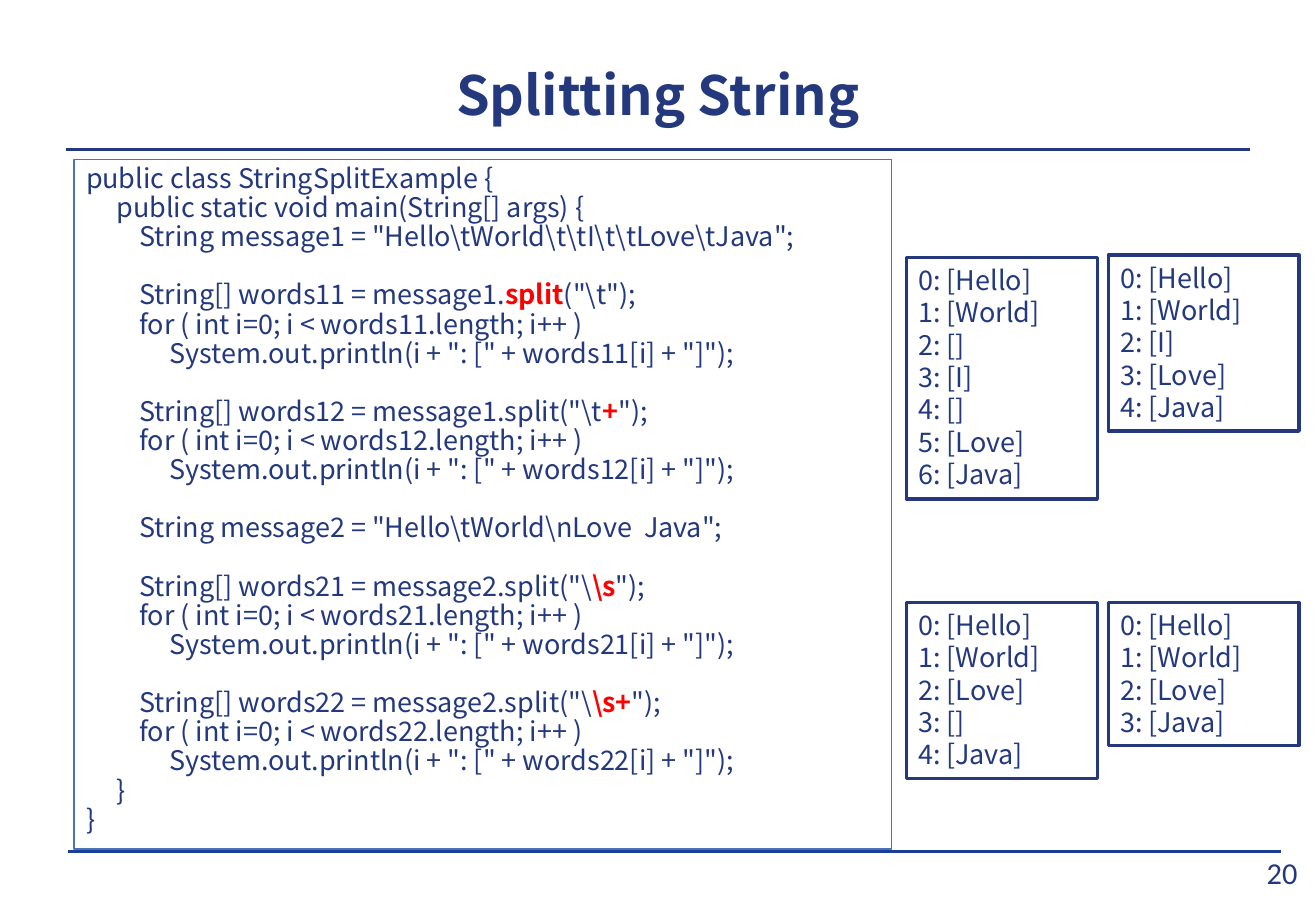
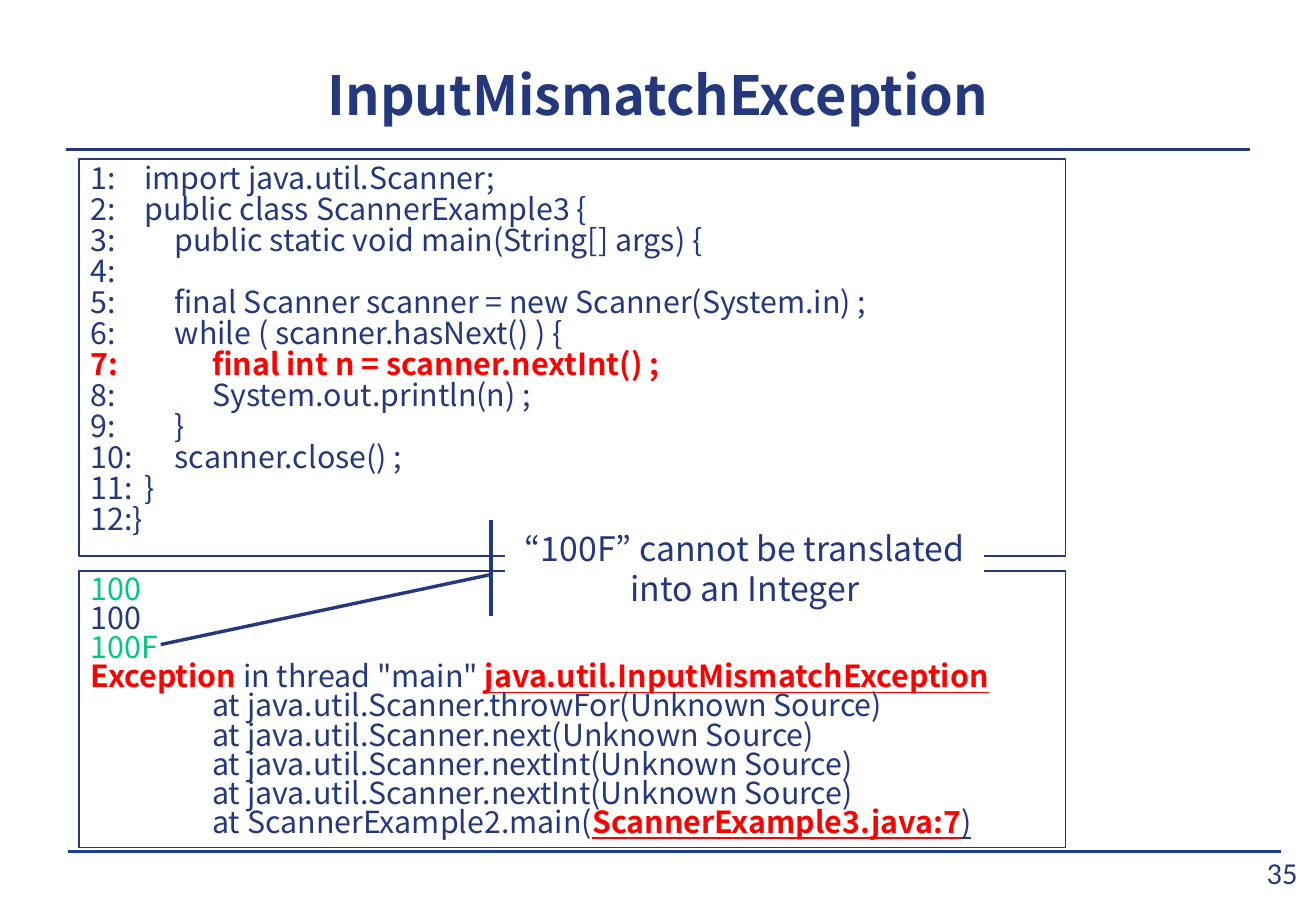
from dataclasses import dataclass

from lxml import etree
from pptx import Presentation, util as u
from pptx.dml.color import RGBColor
from pptx.enum import shapes, text
from pptx.oxml import ns

NAVY, RULE_BLUE, FRAME_BLUE = "23387D", "1A3D97", "4972BB"
RED, GREEN, WHITE = "FF0000", "00C87D", "FFFFFF"
BODY_FONT, NUMBER_FONT = "Noto Sans CJK KR", "Calibri"
WIDTH, HEIGHT = u.Inches(10.83), u.Inches(7.5)
CODE_TABS = (0.25, 0.44, 0.69, 1)
TRACE_TABS = (1,)
BLANK_LINE = 17.25


@dataclass
class Box:
    """An area in percent of the slide."""
    left: float
    top: float
    width: float
    height: float

    def inner(self, left, top, width, height):
        """Return the area at the given percentages of this one."""
        return Box(self.left + self.width * left / 100, self.top + self.height * top / 100,
                   self.width * width / 100, self.height * height / 100)

    def emu(self):
        """Return left, top, width and height in slide units."""
        return [int(share * side / 100) for share, side in
                zip((self.left, self.top, self.width, self.height), (WIDTH, HEIGHT) * 2)]


@dataclass
class Run:
    """A piece of text with its own look."""
    words: str
    colour: str = NAVY
    bold: bool = False
    underline: bool = False


@dataclass
class Line:
    """A paragraph of runs with an optional gap above."""
    runs: list
    gap: float = 0


def colour(hex_code):
    """Turn a hex string into a colour."""
    return RGBColor.from_string(hex_code)


def plain(words):
    """Make a line of one navy run."""
    return Line([Run(words)])


def alert(words, underline=False):
    """Make a bold red run."""
    return Run(words, RED, True, underline)


def set_tabs(paragraph, stops):
    """Give a paragraph left tab stops in inches."""
    tab_list = etree.SubElement(paragraph._p.get_or_add_pPr(), ns.qn("a:tabLst"))
    for stop in stops:
        etree.SubElement(tab_list, ns.qn("a:tab"), pos=str(u.Inches(stop)), algn="l")


def write(shape, lines, size, font=BODY_FONT, align=text.PP_ALIGN.LEFT,
          anchor=text.MSO_ANCHOR.TOP, spacing=None, tabs=()):
    """Fill a shape with lines of styled runs."""
    frame = shape.text_frame
    frame.word_wrap = True
    frame.vertical_anchor = anchor
    for index, line in enumerate(lines):
        paragraph = frame.add_paragraph() if index else frame.paragraphs[0]
        paragraph.alignment = align
        if spacing:
            paragraph.line_spacing = spacing
        if line.gap:
            paragraph.space_before = u.Pt(line.gap)
        if tabs:
            set_tabs(paragraph, tabs)
        for piece in line.runs:
            run = paragraph.add_run()
            run.text = piece.words
            run.font.name, run.font.size = font, u.Pt(size)
            run.font.bold, run.font.underline = piece.bold, piece.underline
            run.font.color.rgb = colour(piece.colour)


def panel(slide, box, line, weight, fill=None, kind=shapes.MSO_SHAPE.RECTANGLE):
    """Add an outlined shape, filled on request."""
    shape = slide.shapes.add_shape(kind, *box.emu())
    shape.shadow.inherit = False
    shape.line.color.rgb = colour(line)
    shape.line.width = u.Pt(weight)
    if fill:
        shape.fill.solid()
        shape.fill.fore_color.rgb = colour(fill)
    else:
        shape.fill.background()
    return shape


def rule(slide, box, line, weight):
    """Draw a straight line along the top of a box."""
    left, top, width, _ = box.emu()
    connector = slide.shapes.add_connector(
        shapes.MSO_CONNECTOR.STRAIGHT, left, top, left + width, top)
    connector.line.color.rgb = colour(line)
    connector.line.width = u.Pt(weight)
    etree.SubElement(connector._element.spPr, ns.qn("a:effectLst"))


def base_slide(deck, title, number):
    """Add a slide with its title, rules and page number."""
    slide = deck.slides.add_slide(deck.slide_layouts[6])
    centred = {"align": text.PP_ALIGN.CENTER, "anchor": text.MSO_ANCHOR.MIDDLE}
    rule(slide, Box(5.17, 93.47, 92.15, 0), RULE_BLUE, 0)
    page = slide.shapes.add_textbox(*Box(95.11, 93.73, 4.62, 4).emu())
    frame = page.text_frame
    frame.margin_left = frame.margin_right = frame.margin_top = frame.margin_bottom = 0
    write(page, [plain(number)], 18, NUMBER_FONT, **centred)
    rule(slide, Box(4.99, 16.4, 90.02, 0), NAVY, 1.5)
    heading = slide.shapes.add_textbox(*Box(4.99, 4.67, 90.03, 11.2).emu())
    write(heading, [Line([Run(title, bold=True)])], 32, **centred)
    return slide


def split_lines(words, message, before, marked, after='");'):
    """Return the code that splits a message and prints its words."""
    return [
        Line([Run(f"\t\tString[] {words} = {message}.{before}"), alert(marked), Run(after)],
             BLANK_LINE),
        plain(f"\t\tfor ( int i=0; i < {words}.length; i++ )"),
        plain(f'\t\t\tSystem.out.println(i + ": [" + {words}[i] + "]");'),
    ]


def split_code(slide, box):
    """Place the string splitting program."""
    lines = [
        plain("public class StringSplitExample {"),
        plain("\tpublic static void main(String[] args) {"),
        plain("\t\t" + r'String message1 = "Hello\tWorld\t\tI\t\tLove\tJava";'),
        *split_lines("words11", "message1", "", "split", r'("\t");'),
        *split_lines("words12", "message1", r'split("\t', "+"),
        Line([Run("\t\t" + r'String message2 = "Hello\tWorld\nLove  Java";')], BLANK_LINE),
        *split_lines("words21", "message2", 'split("\\', r"\s"),
        *split_lines("words22", "message2", 'split("\\', r"\s+"),
        plain("\t}"),
        plain("}"),
    ]
    write(panel(slide, box, FRAME_BLUE, 0.75), lines, 16, spacing=0.9, tabs=CODE_TABS)


def split_results(slide, box):
    """Place the four word lists in two columns."""
    results = [
        (0, 0.46, ["Hello", "World", "", "I", "", "Love", "Java"]),
        (1, 0, ["Hello", "World", "I", "Love", "Java"]),
        (0, 66.36, ["Hello", "World", "Love", "", "Java"]),
        (1, 66.36, ["Hello", "World", "Love", "Java"]),
    ]
    for column, top, words in results:
        area = box.inner(column * 51.39, top, 48.61, 6.26 * len(words) + 2.32)
        lines = [plain(f"{index}: [{word}]") for index, word in enumerate(words)]
        write(panel(slide, area, NAVY, 2, WHITE), lines, 16)


def scanner_code(slide, box):
    """Place the numbered scanner program."""
    code = [
        (2, "import java.util.Scanner;"),
        (2, "public class ScannerExample3 {"),
        (3, "public static void main(String[] args) {"),
        (0, ""),
        (3, "final Scanner scanner = new Scanner(System.in) ;"),
        (3, "while ( scanner.hasNext() ) {"),
        (4, "final int n = scanner.nextInt() ;"),
        (4, "System.out.println(n) ;"),
        (3, "}"),
        (2, "scanner.close() ;"),
        (1, "}"),
        (0, "}"),
    ]
    failing = 7
    lines = []
    for number, (level, words) in enumerate(code, 1):
        numbered = f"{number}:" + "\t" * level + words
        lines.append(Line([alert(numbered)]) if number == failing else plain(numbered))
    write(panel(slide, box, NAVY, 1), lines, 18, spacing=0.85, tabs=CODE_TABS)


def scanner_console(slide, box):
    """Place the console output with its stack trace."""
    calls = ["throwFor", "next", "nextInt", "nextInt"]
    lines = [
        Line([Run("100", GREEN)]),
        plain("100"),
        Line([Run("100F", GREEN)]),
        Line([alert("Exception"), Run(' in thread "main" '),
              alert("java.util.InputMismatchException", True)]),
        *[plain(f"\tat java.util.Scanner.{call}(Unknown Source)") for call in calls],
        Line([Run("\tat ScannerExample2.main("), alert("ScannerExample3.java:7", True),
              Run(")", underline=True)]),
    ]
    write(panel(slide, box, NAVY, 0.75), lines, 18, spacing=0.8, tabs=TRACE_TABS)


def input_callout(slide, box):
    """Place the remark that points at the wrong input."""
    remark = panel(slide, box, NAVY, 2, WHITE, shapes.MSO_SHAPE.LINE_CALLOUT_1_ACCENT_BAR)
    for index, share in enumerate((0.57, -0.03, 1.3, -0.72)):
        remark.adjustments[index] = share
    write(remark, [plain("“100F” cannot be translated into an Integer")], 20,
          align=text.PP_ALIGN.CENTER, anchor=text.MSO_ANCHOR.MIDDLE)


def splitting_slide(deck):
    """Build the slide on splitting strings."""
    slide = base_slide(deck, "Splitting String", "20")
    split_code(slide, Box(5.63, 17.47, 62.14, 75.73))
    split_results(slide, Box(68.88, 28, 29.83, 57.47))


def mismatch_slide(deck):
    """Build the slide on the input exception."""
    slide = base_slide(deck, "InputMismatchException", "35")
    body = Box(6, 17.47, 74.98, 75.6)
    scanner_code(slide, body.inner(0, 0, 100, 57.67))
    scanner_console(slide, body.inner(0, 59.79, 100, 40.21))
    input_callout(slide, body.inner(43.22, 52.38, 48.52, 13.93))


def main():
    """Build and save the presentation."""
    deck = Presentation()
    deck.slide_width, deck.slide_height = WIDTH, HEIGHT
    splitting_slide(deck)
    mismatch_slide(deck)
    deck.save("out.pptx")


if __name__ == "__main__":
    main()
